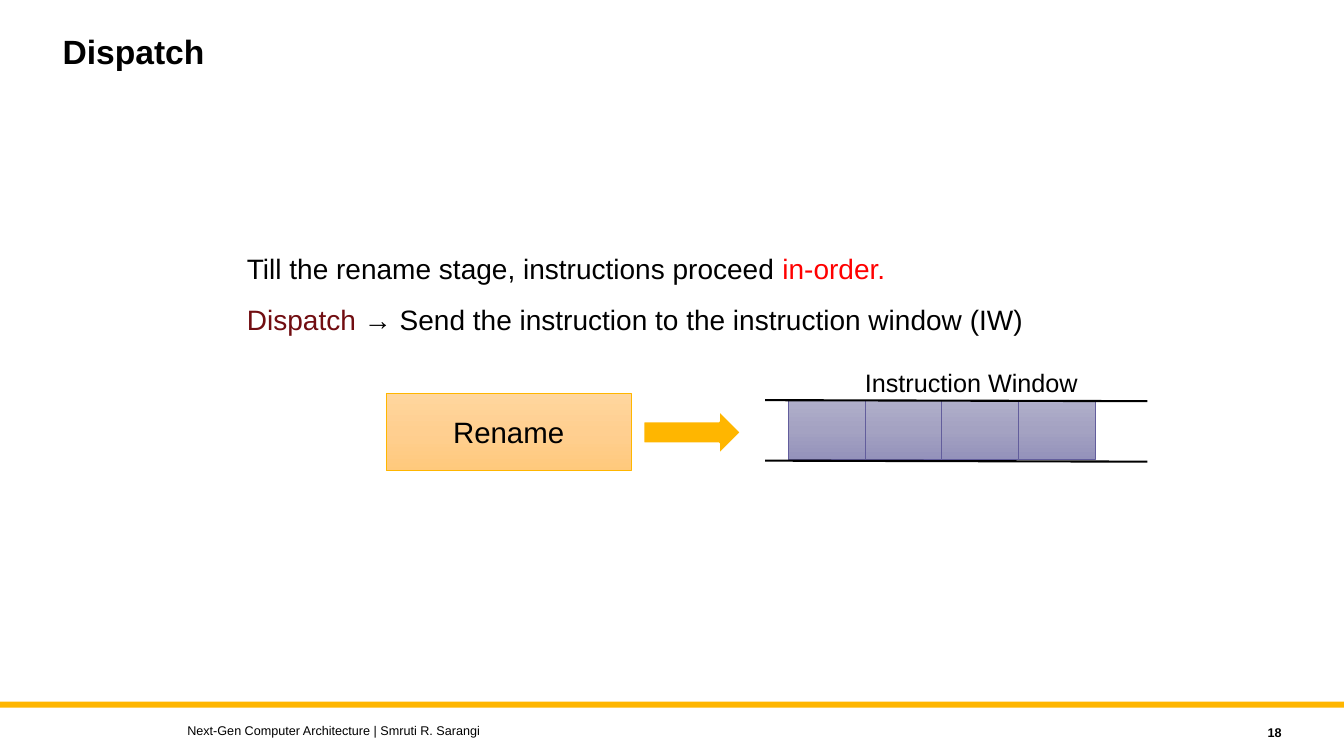
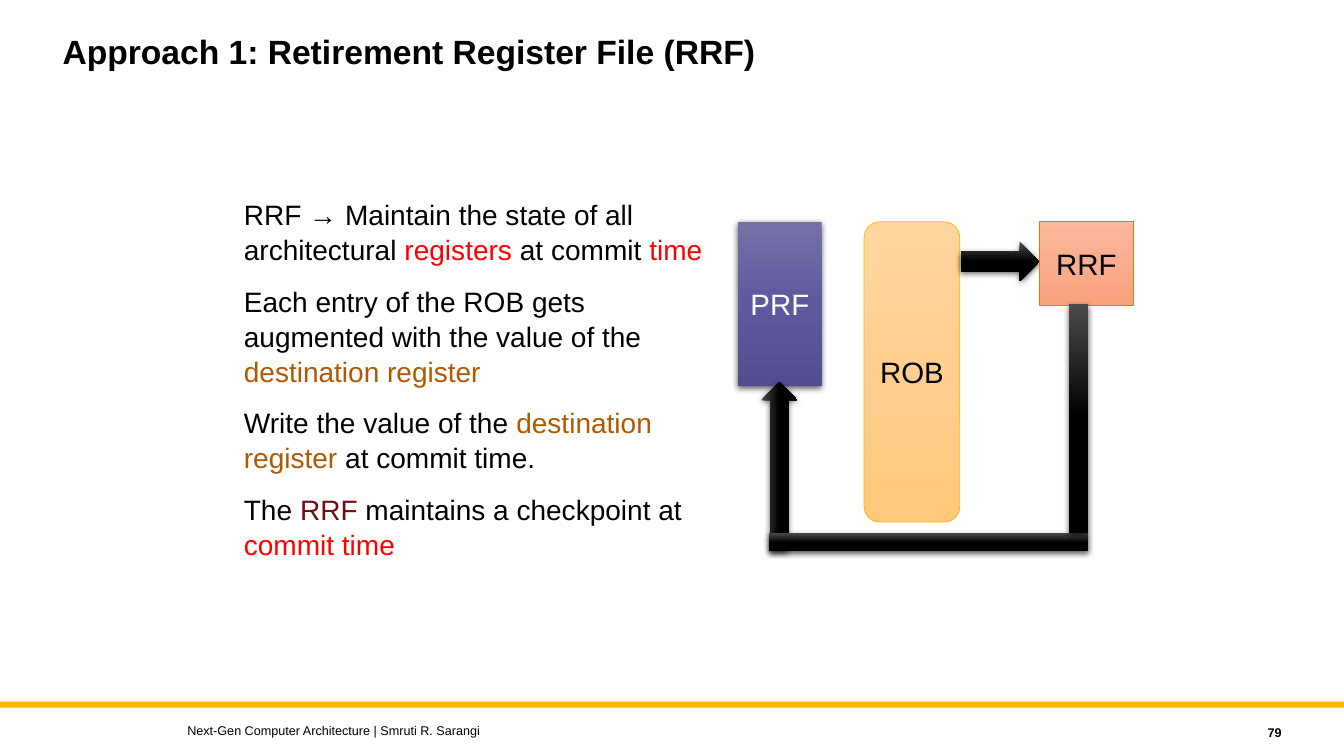
from copy import deepcopy
from lxml import etree
from pptx import Presentation
from pptx import util as u
from pptx.dml import color
from pptx.enum import shapes, text
from pptx.oxml import ns

PX = 9144
WIDE, HIGH = 1333, 750
FONT = "Arial"
BLACK, WHITE, RED = "000000", "FFFFFF", "FF0000"
GOLD, BROWN, MAROON = "FFB600", "B15900", "710D11"
PEACH = ["FFD69E", "FFCF90", "FFC97C"]
LILAC = ["B0AFCA", "A4A2C2", "9492BB"]
CORAL = ["FFB89D", "FAAD90", "F9A17C"]
VIOLET = ["7571A8", "5F5A9F", "524D90"]
INK = ["4B4B4B", BLACK, BLACK]
KIND = shapes.MSO_SHAPE
ALIGN = text.PP_ALIGN
ANCHOR = text.MSO_ANCHOR
FOOTER = "Next-Gen Computer Architecture | Smruti R. Sarangi"


def px(*vals):
    return [u.Emu(v * PX) for v in vals]


def rgb(code):
    return color.RGBColor.from_string(code)


def style(para, size, ink=BLACK, bold=False, align=ALIGN.LEFT):
    para.alignment = align
    font = para.font
    font.name, font.size, font.bold = FONT, u.Pt(size), bold
    font.color.rgb = rgb(ink)


def shade(shape, tones):
    fill = shape.fill
    fill.gradient()
    fill.gradient_angle = 270
    stops = shape._element.xpath(".//a:gsLst")[0]
    stops.append(deepcopy(stops[-1]))
    for stop, tone, place in zip(fill.gradient_stops, tones, (0, 0.5, 1)):
        stop.color.rgb = rgb(tone)
        stop.position = place


def effects(shape):
    props = shape._element.spPr
    return etree.SubElement(props, ns.qn("a:effectLst"))


def drop(shape):
    for old in shape._element.xpath("./p:spPr/a:effectLst"):
        old.getparent().remove(old)
    glow = etree.SubElement(effects(shape), ns.qn("a:outerShdw"),
                            blurRad="57150", dist="19050", dir="5400000",
                            algn="ctr", rotWithShape="0")
    tone = etree.SubElement(glow, ns.qn("a:srgbClr"), val=BLACK)
    etree.SubElement(tone, ns.qn("a:alpha"), val="63000")


def block(slide, kind, box, fill, edge=None, width=0.5, label="", ink=BLACK):
    shape = slide.shapes.add_shape(kind, *px(*box))
    shape.shadow.inherit = False
    if isinstance(fill, list):
        shade(shape, fill)
    else:
        shape.fill.solid()
        shape.fill.fore_color.rgb = rgb(fill)
    if edge:
        shape.line.color.rgb = rgb(edge)
        shape.line.width = u.Pt(width)
    else:
        shape.line.fill.background()
    if label:
        frame = shape.text_frame
        frame.vertical_anchor = ANCHOR.MIDDLE
        frame.text = label
        style(frame.paragraphs[0], 21, ink, align=ALIGN.CENTER)
    return shape


def solid(slide, kind, box, tones=INK, **more):
    shape = block(slide, kind, box, tones, **more)
    drop(shape)
    return shape


def label(slide, box, words, size, anchor=ANCHOR.TOP, **look):
    frame = slide.shapes.add_textbox(*px(*box)).text_frame
    frame.word_wrap = True
    frame.vertical_anchor = anchor
    frame.text = words
    style(frame.paragraphs[0], size, **look)


def rule(slide, x, y, width):
    line = slide.shapes.add_connector(
        shapes.MSO_CONNECTOR.STRAIGHT, *px(x, y, x + width, y + 1))
    line.line.color.rgb = rgb(BLACK)
    line.line.width = u.Pt(1.5)
    effects(line)


def prose(slide, box, paras):
    frame = slide.shapes.add_textbox(*px(*box)).text_frame
    frame.word_wrap = True
    for i, parts in enumerate(paras):
        para = frame.paragraphs[0] if i == 0 else frame.add_paragraph()
        para.line_spacing = 1.04
        if i:
            para.space_before = u.Pt(12)
        style(para, 20)
        for words, ink in parts:
            run = para.add_run()
            run.text = words
            run.font.color.rgb = rgb(ink)


def page(deck, title, number):
    slide = deck.slides.add_slide(deck.slide_layouts[5])
    head = slide.shapes.title
    head.left, head.top, head.width, head.height = px(52, 30, 1000, 90)
    frame = head.text_frame
    frame.text = title
    frame.vertical_anchor = ANCHOR.TOP
    frame.auto_size = text.MSO_AUTO_SIZE.NONE
    frame.paragraphs[0].line_spacing = 0.9
    style(frame.paragraphs[0], 24, bold=True)
    label(slide, (1141, 714, 140, 25), number, 9, ANCHOR.MIDDLE,
          bold=True, align=ALIGN.RIGHT)
    label(slide, (176, 712, 800, 25), FOOTER, 9, ANCHOR.MIDDLE)
    return slide


def band(deck, slide):
    bar = block(slide, KIND.RECTANGLE, (0, 696, WIDE, 6), GOLD)
    deck.slide_layouts[5].shapes._spTree.append(bar._element)


def queue(slide, x, y):
    block(slide, KIND.RECTANGLE, (x, y, 243, 77), PEACH, GOLD, label="Rename")
    block(slide, KIND.RIGHT_ARROW, (x + 255, y + 17, 97, 44), GOLD, WHITE, 1.5)
    for i in range(4):
        block(slide, KIND.RECTANGLE, (x + 399 + 76 * i, y + 7, 76, 59),
              LILAC, "625D9C")
    label(slide, (x + 465, y - 31, 240, 40), "Instruction Window", 18)
    for gap in (7, 67):
        rule(slide, x + 376, y + gap, 379)


def loop(slide, x, y):
    block(slide, KIND.ROUNDED_RECTANGLE, (x + 125, y, 95, 298),
          PEACH, GOLD, label="ROB")
    solid(slide, KIND.RIGHT_ARROW, (x + 221, y + 20, 78, 39))
    block(slide, KIND.RECTANGLE, (x + 299, y, 93, 83),
          CORAL, "EC7700", label="RRF")
    solid(slide, KIND.RECTANGLE, (x, y, 83, 163), VIOLET,
          label="PRF", ink=WHITE)
    rise = solid(slide, KIND.RIGHT_ARROW, (x - 43, y + 225, 168, 36))
    rise.rotation = 270
    solid(slide, KIND.RECTANGLE, (x + 31, y + 309, 316, 18))
    solid(slide, KIND.RECTANGLE, (x + 328, y + 82, 19, 227))


def main():
    deck = Presentation()
    deck.slide_width, deck.slide_height = px(WIDE, HIGH)

    slide = page(deck, "Dispatch", "18")
    band(deck, slide)
    prose(slide, (235, 243, 862, 104), [
        [("Till the rename stage, instructions proceed ", BLACK),
         ("in-order.", RED)],
        [("Dispatch ", MAROON),
         ("→ Send the instruction to the instruction window (IW)", BLACK)],
    ])
    queue(slide, 383, 390)

    slide = page(deck, "Approach 1: Retirement Register File (RRF)", "79")
    prose(slide, (232, 190, 488, 357), [
        [("RRF → Maintain the state of all architectural ", BLACK),
         ("registers", RED), (" at commit ", BLACK), ("time", RED)],
        [("Each entry of the ROB gets augmented with the value of the ", BLACK),
         ("destination register", BROWN)],
        [("Write the value of the ", BLACK),
         ("destination register", BROWN), (" at commit time.", BLACK)],
        [("The ", BLACK), ("RRF", MAROON),
         (" maintains a checkpoint at ", BLACK), ("commit time", RED)],
    ])
    loop(slide, 732, 220)

    deck.save("out.pptx")


if __name__ == "__main__":
    main()
